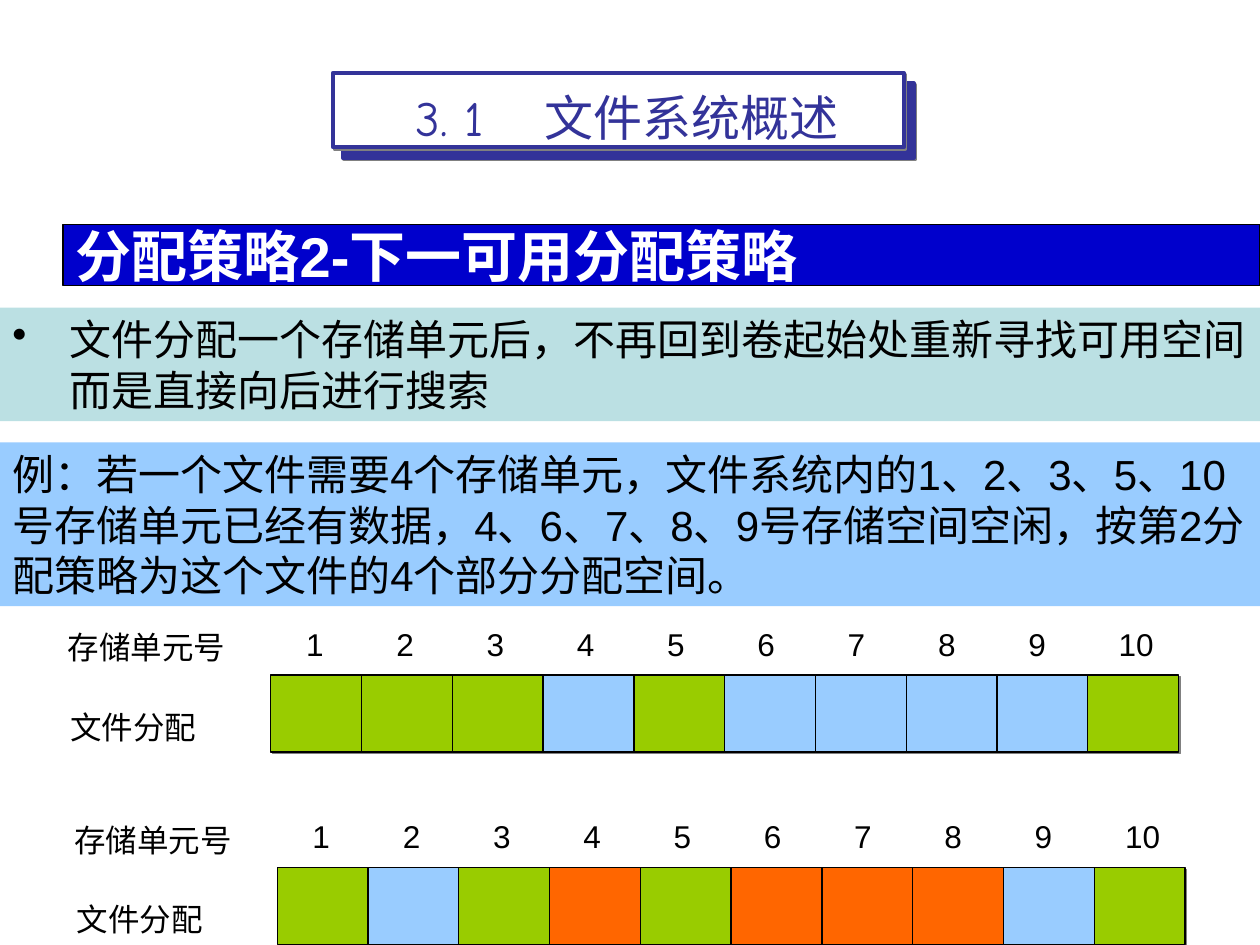
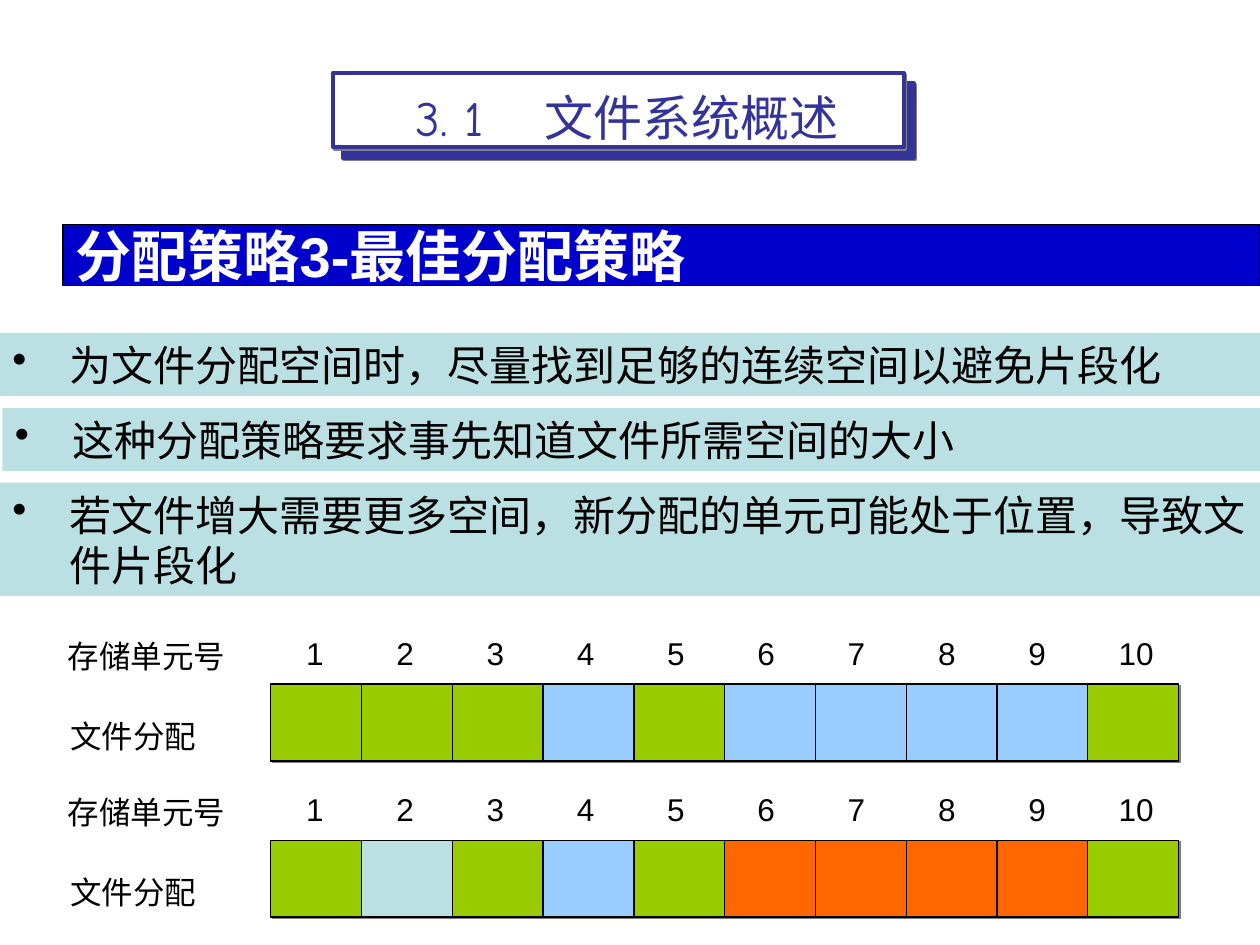
"""Build two slides on file allocation strategies."""
import dataclasses

import lxml.etree
import pptx
import pptx.dml.color
import pptx.enum.shapes
import pptx.enum.text
import pptx.oxml.ns
import pptx.util

Cm = pptx.util.Cm
qn = pptx.oxml.ns.qn


@dataclasses.dataclass(frozen=True)
class Theme:
    white: str = "FFFFFF"
    black: str = "000000"
    indigo: str = "333399"
    band: str = "0000CC"
    pale: str = "BBE0E3"
    sky: str = "99CCFF"
    green: str = "99CC00"
    orange: str = "FF6600"
    shadow: str = "808080"
    body_font: str = "Arial"
    title_font: str = "Comic Neue"
    title_size: int = 28
    band_size: int = 32
    body_size: int = 24
    label_size: int = 18


theme = Theme()


def add_block(page, left, top, width, height, fill, line=None, weight=0.75, shadow=False):
    block = page.shapes.add_shape(
        pptx.enum.shapes.MSO_SHAPE.RECTANGLE, Cm(left), Cm(top), Cm(width), Cm(height))
    block.shadow.inherit = False
    block.fill.solid()
    block.fill.fore_color.rgb = pptx.dml.color.RGBColor.from_string(fill)
    if line:
        block.line.color.rgb = pptx.dml.color.RGBColor.from_string(line)
        block.line.width = pptx.util.Pt(weight)
    else:
        block.line.fill.background()
    if shadow:
        effects = block.element.spPr.find(qn("a:effectLst"))
        outer = lxml.etree.SubElement(
            effects, qn("a:outerShdw"), dist=str(pptx.util.Pt(1.4)), dir="2700000", algn="ctr")
        lxml.etree.SubElement(outer, qn("a:srgbClr"), val=theme.shadow)
    return block


def write(box, text, size, color=theme.black, font=theme.body_font, bold=False,
          bullet=False, tabs=(), middle=True):
    frame = box.text_frame
    frame.word_wrap = True
    anchors = pptx.enum.text.MSO_ANCHOR
    frame.vertical_anchor = anchors.MIDDLE if middle else anchors.TOP
    para = frame.paragraphs[0]
    para.alignment = pptx.enum.text.PP_ALIGN.LEFT
    properties = para._p.get_or_add_pPr()
    if bullet:
        properties.set("marL", str(Cm(1.16)))
        properties.set("indent", str(-Cm(1.16)))
        lxml.etree.SubElement(properties, qn("a:buChar"), char="•")
    if tabs:
        stops = lxml.etree.SubElement(properties, qn("a:tabLst"))
        for stop in tabs:
            lxml.etree.SubElement(stops, qn("a:tab"), pos=str(Cm(stop)), algn="l")
    span = para.add_run()
    span.text = text
    span.font.name = font
    span.font.size = pptx.util.Pt(size)
    span.font.bold = bold
    span.font.color.rgb = pptx.dml.color.RGBColor.from_string(color)


CELL_PITCH = 1.83
CELL_HEIGHT = 1.55
NUMBER_PITCH = 1.82
CELL_COLORS = {"used": theme.green, "free": theme.sky, "new": theme.orange, "skipped": theme.pale}
BEFORE = "used used used free used free free free free used"

pages = [
    {
        "heading": "分配策略2-下一可用分配策略",
        "panels": [
            (0, 6.2, 2.29, theme.pale, True,
             "文件分配一个存储单元后，不再回到卷起始处重新寻找可用空间而是直接向后进行搜索"),
            (0, 8.92, 3.3, theme.sky, False,
             "例：若一个文件需要4个存储单元，文件系统内的1、2、3、5、10号存储单元已经有数据，"
             "4、6、7、8、9号存储空间空闲，按第2分配策略为这个文件的4个部分分配空间。"),
        ],
        "strips": [
            (5.46, 13.61, BEFORE),
            (5.59, 17.49, "used free used new used new new new free used"),
        ],
    },
    {
        "heading": "分配策略3-最佳分配策略",
        "panels": [
            (0, 6.71, 1.27, theme.pale, True,
             "为文件分配空间时，尽量找到足够的连续空间以避免片段化"),
            (0.05, 8.23, 1.27, theme.pale, True,
             "这种分配策略要求事先知道文件所需空间的大小"),
            (0, 9.73, 2.29, theme.pale, True,
             "若文件增大需要更多空间，新分配的单元可能处于位置，导致文件片段化"),
        ],
        "strips": [
            (5.46, 13.79, BEFORE),
            (5.46, 16.94, "used skipped used free used new new new new used"),
        ],
    },
]

deck = pptx.Presentation()
deck.slide_width = Cm(25.4)
deck.slide_height = Cm(19.05)

for content in pages:
    page = deck.slides.add_slide(deck.slide_layouts[6])

    for left, top, fill in ((6.91, 1.68, theme.indigo), (6.71, 1.47, theme.white)):
        add_block(page, left, top, 11.51, 1.5, fill, theme.indigo, 2.25, shadow=True)
    title = page.shapes.add_textbox(Cm(8.13), Cm(0.76), Cm(10), Cm(3.18))
    write(title, "3. 1\t文件系统概述", theme.title_size, theme.indigo, theme.title_font, tabs=[2.6])

    heading = add_block(page, 1.27, 4.52, 24.13, 1.24, theme.band, theme.black)
    write(heading, content["heading"], theme.band_size, theme.white, bold=True)

    for left, top, height, fill, bullet, text in content["panels"]:
        panel = add_block(page, left, top, 25.4, height, fill)
        write(panel, text, theme.body_size, bullet=bullet)

    for left, top, states in content["strips"]:
        for index, state in enumerate(states.split()):
            add_block(page, left + index * CELL_PITCH, top, CELL_PITCH, CELL_HEIGHT,
                      CELL_COLORS[state], theme.black, shadow=True)
        numbers = "\t".join(str(number) for number in range(1, 11))
        stops = [index * NUMBER_PITCH for index in range(1, 10)]
        for shift, rise, width, text, tabs in (
                (0.46, -1.14, 18.2, numbers, stops),
                (-4.34, -1.07, 4, "存储单元号", ()),
                (-4.29, 0.53, 3.5, "文件分配", ())):
            label = page.shapes.add_textbox(Cm(left + shift), Cm(top + rise), Cm(width), Cm(1.02))
            write(label, text, theme.label_size, tabs=tabs, middle=False)

deck.save("out.pptx")
